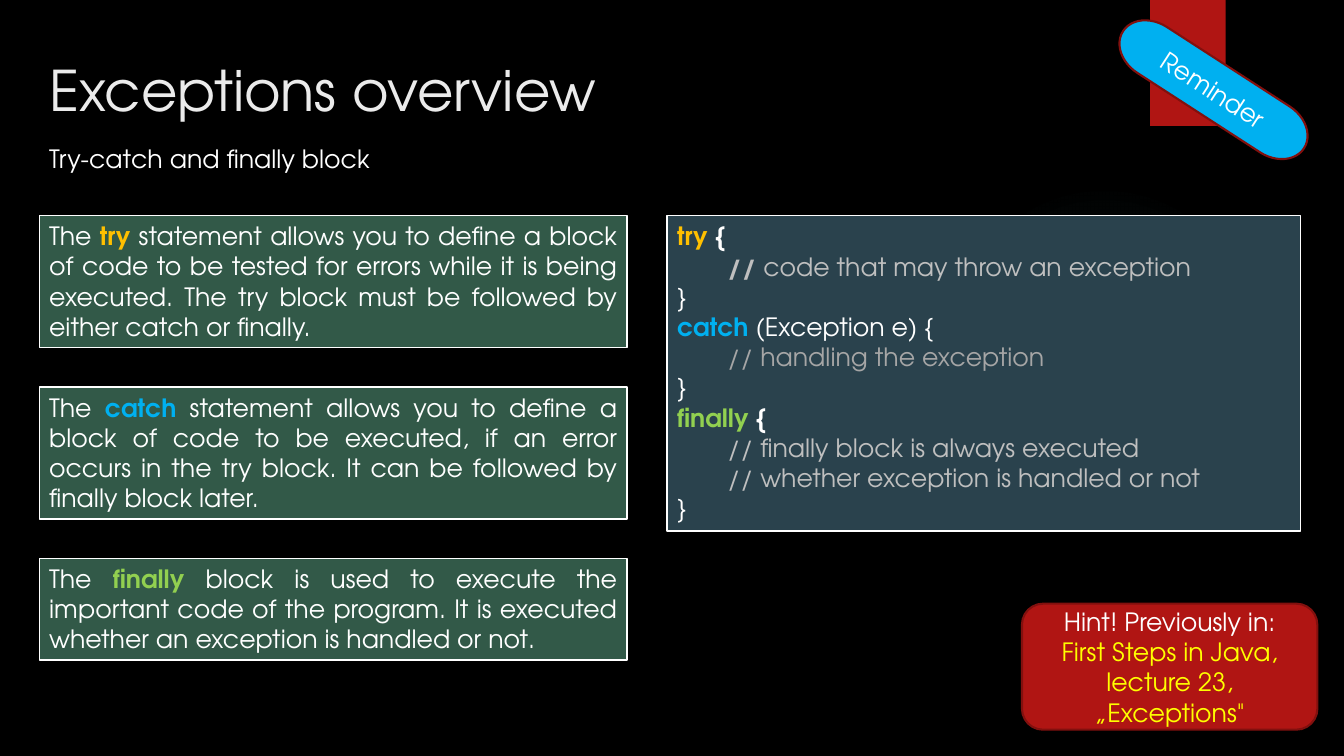
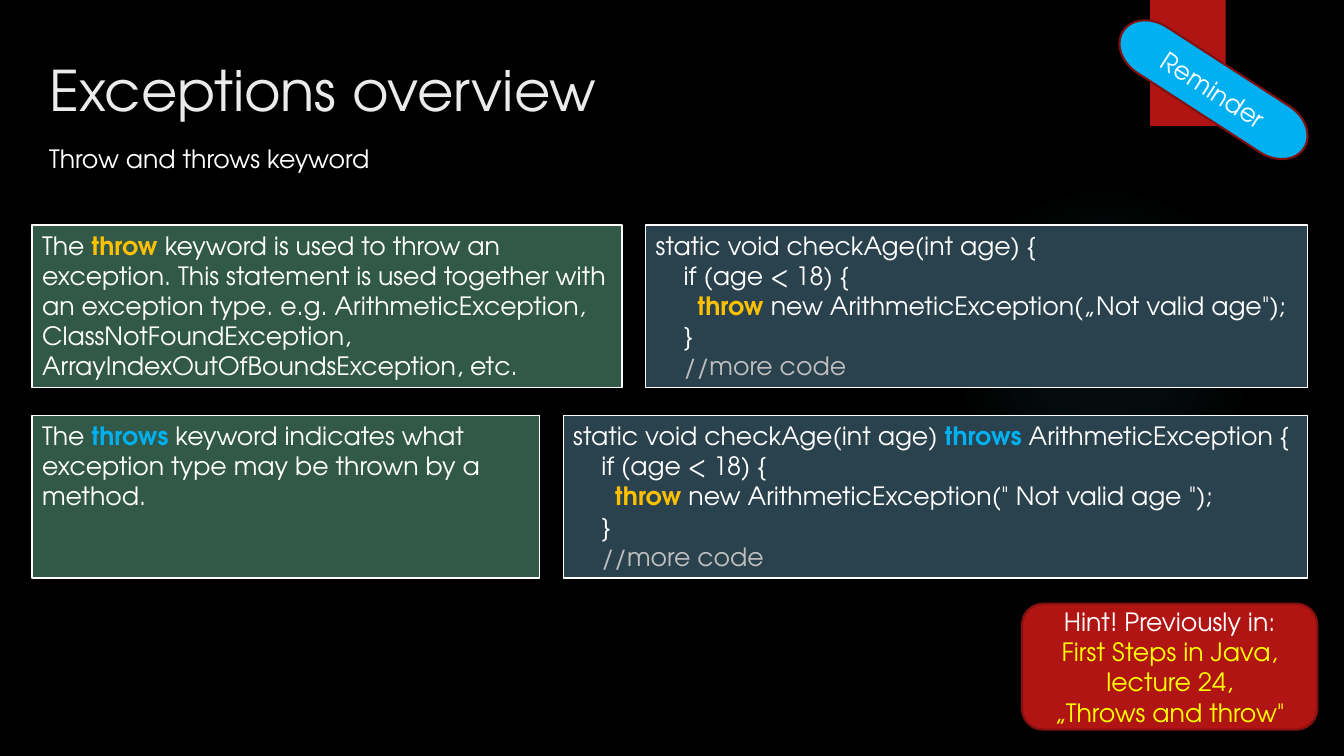
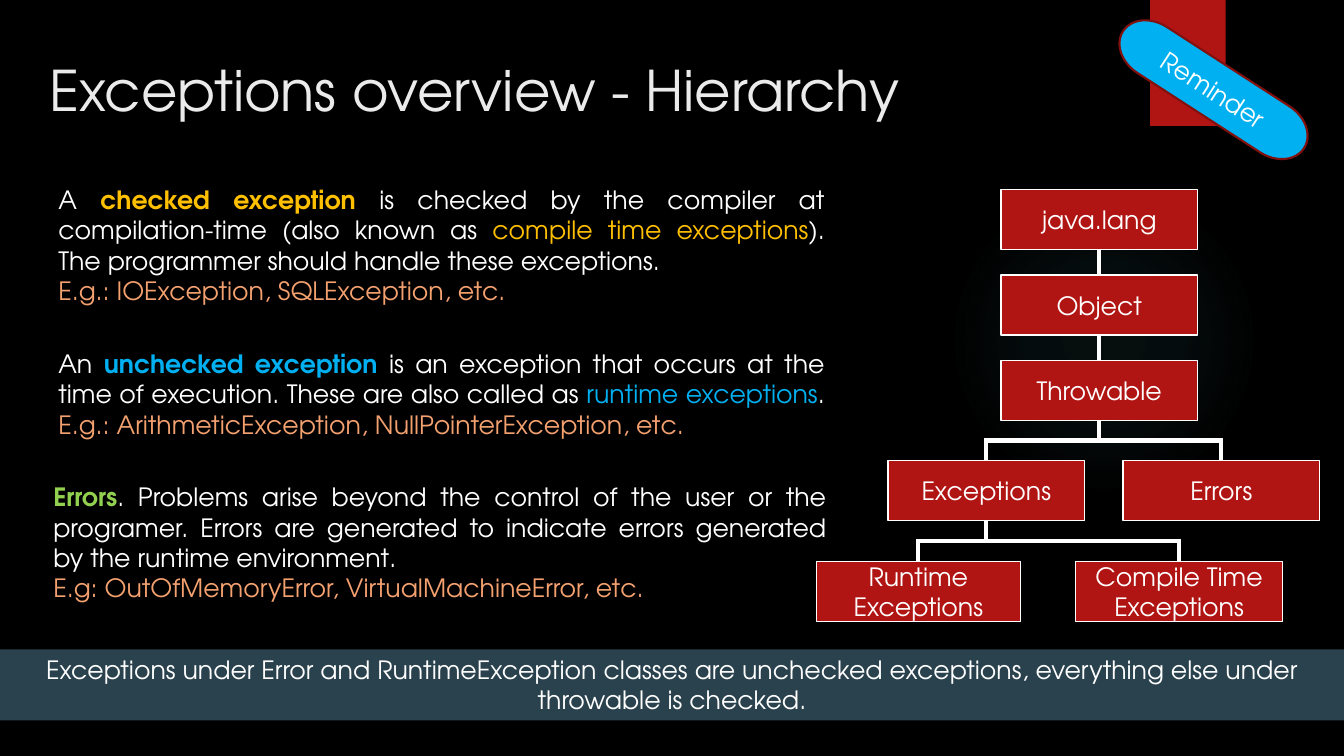
from lxml import etree
from pptx import Presentation
from pptx.dml.color import RGBColor
from pptx.enum.shapes import MSO_CONNECTOR, MSO_SHAPE
from pptx.enum.text import MSO_ANCHOR, PP_ALIGN
from pptx.oxml import parse_xml
from pptx.util import Pt

RECTANGLE = MSO_SHAPE.RECTANGLE
OVAL = MSO_SHAPE.OVAL
PROCESS = MSO_SHAPE.FLOWCHART_PROCESS
TERMINATOR = MSO_SHAPE.FLOWCHART_TERMINATOR
ROUNDED = MSO_SHAPE.FLOWCHART_ALTERNATE_PROCESS
STRAIGHT = MSO_CONNECTOR.STRAIGHT
LEFT, CENTER, JUSTIFY = PP_ALIGN.LEFT, PP_ALIGN.CENTER, PP_ALIGN.JUSTIFY
TOP, MIDDLE = MSO_ANCHOR.TOP, MSO_ANCHOR.MIDDLE

DRAWING = "http://schemas.openxmlformats.org/drawingml/2006/main"
FONT = "TeX Gyre Adventor"
WIDTH, HEIGHT = 960, 540
BLACK, WHITE, TITLE = "000000", "FFFFFF", "EBEBEB"
RED, DARK_RED, GLOW = "B01513", "82100E", "50B9C1"
GREEN, SLATE = "325948", "2A424D"
AMBER, BLUE, LIME = "FFC000", "00B0F0", "92D050"
YELLOW, PEACH = "FFFF00", "F4A16F"
SILVER, GRAY = "BFBFBF", "A6A6A6"
BODY_LEFT = 28


def color(value):
    return RGBColor.from_string(value)


def line(*runs, indent=0):
    return runs, indent


def tint(text, value):
    return text, value, False


def key(text, value):
    return text, value, True


def text_height(count):
    return 21.8 * count + 7.2


def write(shape, lines, align=LEFT, anchor=TOP, size=18, base=WHITE):
    frame = shape.text_frame
    frame.word_wrap = True
    frame.vertical_anchor = anchor
    for index, (runs, indent) in enumerate(lines):
        paragraph = frame.add_paragraph() if index else frame.paragraphs[0]
        paragraph.alignment = align
        paragraph.font.name = FONT
        paragraph.font.size = Pt(size)
        paragraph.font.color.rgb = color(base)
        if indent:
            paragraph._p.get_or_add_pPr().set("marL", str(Pt(indent)))
        for item in runs:
            text, value, bold = tint(item, base) if isinstance(item, str) else item
            run = paragraph.add_run()
            run.text = text
            if value != base:
                run.font.color.rgb = color(value)
            if bold:
                run.font.bold = True


def add_text(slide, box, lines, **style):
    shape = slide.shapes.add_textbox(*map(Pt, box))
    write(shape, lines, **style)


def add_shape(slide, kind, box, fill, outline=None, weight=1):
    shape = slide.shapes.add_shape(kind, *map(Pt, box))
    shape.shadow.inherit = False
    shape.fill.solid()
    shape.fill.fore_color.rgb = color(fill)
    if outline:
        shape.line.color.rgb = color(outline)
        shape.line.width = Pt(weight)
    else:
        shape.line.fill.background()
    return shape


def add_panel(slide, box, fill, lines, align=LEFT):
    write(add_shape(slide, RECTANGLE, box, fill, WHITE), lines, align)


def add_glow(slide, box):
    glow = add_shape(slide, OVAL, box, GLOW)
    stops = "".join(
        f'<a:gs pos="{position * 1000}"><a:srgbClr val="{GLOW}">'
        f'<a:alpha val="{alpha * 1000}"/></a:srgbClr></a:gs>'
        for position, alpha in ((0, 7), (36, 6), (69, 0), (100, 0))
    )
    gradient = parse_xml(
        f'<a:gradFill xmlns:a="{DRAWING}"><a:gsLst>{stops}</a:gsLst><a:path path="circle">'
        '<a:fillToRect l="50000" t="50000" r="50000" b="50000"/></a:path></a:gradFill>'
    )
    properties = glow._element.spPr
    properties.replace(properties.find(f"{{{DRAWING}}}solidFill"), gradient)


def add_base_slide(presentation, title, subtitle=None):
    slide = presentation.slides.add_slide(presentation.slide_layouts[6])
    slide.background.fill.solid()
    slide.background.fill.fore_color.rgb = color(BLACK)
    add_glow(slide, (677.5, 131.8, 221.8, 221.8))
    add_shape(slide, RECTANGLE, (821.5, 0, 54, 90), RED)
    add_text(slide, (BODY_LEFT, 36, 795.6, 63.4), [line(title)], size=40, base=TITLE)
    if subtitle:
        add_text(slide, (BODY_LEFT, 98.6, 884, 29), [line(subtitle)])
    reminder = add_shape(slide, TERMINATOR, (789.8, 44.6, 154, 39), BLUE, DARK_RED, 1.5)
    reminder.rotation = 32.9
    write(reminder, [line("Reminder")], CENTER, MIDDLE)
    return slide


def add_hint(slide, lecture, topic):
    hint = add_shape(slide, ROUNDED, (730, 431.2, 211, 90), RED, DARK_RED, 1.5)
    lines = [
        line("Hint! Previously in:"),
        line(tint(f"First Steps in Java, lecture {lecture},", YELLOW)),
        line(tint(f"„{topic}\"", YELLOW)),
    ]
    write(hint, lines, CENTER, MIDDLE)


def add_row(slide, box, split, explanation, code):
    left, top, width, height = box
    gap = 17
    add_panel(slide, (left, top, split, height), GREEN, explanation)
    code_box = (left + split + gap, top, width - split - gap, height)
    add_panel(slide, code_box, SLATE, code)


def add_line(slide, start, end, parent=None, child=None):
    connector = slide.shapes.add_connector(STRAIGHT, *map(Pt, start + end))
    connector.line.color.rgb = color(WHITE)
    connector.line.width = Pt(3)
    etree.SubElement(connector._element.spPr, f"{{{DRAWING}}}effectLst")
    if parent:
        connector.begin_connect(parent, 2)
    if child:
        connector.end_connect(child, 0)


def add_node(slide, middle, top, width, *words):
    node = add_shape(slide, PROCESS, (middle - width / 2, top, width, 43), RED, WHITE)
    write(node, [line(word) for word in words], CENTER, MIDDLE)
    return node


def top_point(node):
    return (node.left + node.width / 2) / Pt(1), node.top / Pt(1)


def bottom_point(node):
    middle, top = top_point(node)
    return middle, top + node.height / Pt(1)


def add_branch(slide, parent, children):
    stem = bottom_point(parent)
    ends = [top_point(child) for child in children]
    level = (stem[1] + ends[0][1]) / 2
    add_line(slide, stem, (stem[0], level), parent=parent)
    add_line(slide, (ends[0][0] - 1.5, level), (ends[-1][0] + 1.5, level))
    for child, end in zip(children, ends):
        add_line(slide, (end[0], level), end, child=child)


def add_hierarchy(slide, left, top):
    trunk = [
        add_node(slide, left + 202, top + 61 * index, 140.4, name)
        for index, name in enumerate(("java.lang", "Object", "Throwable"))
    ]
    exceptions = add_node(slide, left + 121.3, top + 193.6, 140.4, "Exceptions")
    errors = add_node(slide, left + 289.2, top + 193.6, 140.4, "Errors")
    runtime = add_node(slide, left + 72.8, top + 265.6, 145.6, "Runtime", "Exceptions")
    compiled = add_node(slide, left + 259, top + 265.6, 147.6, "Compile Time", "Exceptions")
    for parent, child in zip(trunk, trunk[1:]):
        add_line(slide, bottom_point(parent), top_point(child), parent, child)
    add_branch(slide, trunk[-1], (exceptions, errors))
    add_branch(slide, exceptions, (runtime, compiled))


def add_block_slide(presentation):
    slide = add_base_slide(presentation, "Exceptions overview", "Try-catch and finally block")
    add_hint(slide, 23, "Exceptions")
    statements = (
        (4, key("try", AMBER), " statement allows you to define a block of code to be tested for errors "
         "while it is being executed. The try block must be followed by either catch or finally."),
        (4, key("catch", BLUE), " statement allows you to define a block of code to be executed, "
         "if an error occurs in the try block. It can be followed by finally block later."),
        (3, key("finally", LIME), " block is used to execute the important code of the program. "
         "It is executed whether an exception is handled or not."),
    )
    top = 154
    for count, keyword, meaning in statements:
        height = text_height(count)
        add_panel(slide, (BODY_LEFT, top, 420, height), GREEN, [line("The ", keyword, meaning)], JUSTIFY)
        top += height + 28
    code = [
        line(key("try", AMBER), key(" {", WHITE)),
        line(key("// ", SILVER), tint("code that may throw an exception", SILVER), indent=36),
        line("}"),
        line(key("catch ", BLUE), "(Exception e) {"),
        line(tint("// handling the exception", GRAY), indent=36),
        line("}"),
        line(key("finally", LIME), key(" {", WHITE)),
        line(tint("// finally block is always executed", SILVER), indent=36),
        line(tint("// whether exception is handled or not", SILVER), indent=36),
        line("}"),
    ]
    add_panel(slide, (476.6, 154, 452.4, text_height(len(code))), SLATE, code)


def check_age_code(signature, message):
    return [
        signature,
        line("if (age < 18) {", indent=20),
        line(key("throw", AMBER), f" new ArithmeticException({message});", indent=30),
        line("}", indent=20),
        line(tint("//more code", SILVER), indent=20),
    ]


def add_throw_slide(presentation):
    slide = add_base_slide(presentation, "Exceptions overview", "Throw and throws keyword")
    rows = (
        (421.2,
         line("The ", key("throw", AMBER), " keyword is used to throw an exception. This statement is "
              "used together with an exception type. e.g. ArithmeticException, "
              "ClassNotFoundException, ArrayIndexOutOfBoundsException, etc."),
         check_age_code(line("static void checkAge(int age) {"), "„Not valid age\"")),
        (362.4,
         line("The ", key("throws", BLUE), " keyword indicates what exception type may be thrown "
              "by a method."),
         check_age_code(line("static void checkAge(int age) ", key("throws ", BLUE),
                             "ArithmeticException {"), "\" Not valid age \"")),
    )
    for index, (split, explanation, code) in enumerate(rows):
        box = (23, 160.6 + 136 * index, 911, text_height(len(code)))
        add_row(slide, box, split, [explanation], code)
    add_hint(slide, 24, "Throws and throw")


def add_hierarchy_slide(presentation):
    slide = add_base_slide(presentation, "Exceptions overview - Hierarchy")
    add_hierarchy(slide, 583.2, 135.4)
    definitions = (
        (34.6, 561.6, 4, [
            line("A ", key("checked exception ", AMBER),
                 "is checked by the compiler at compilation-time (also known as ",
                 tint("compile time exceptions", AMBER),
                 "). The programmer should handle these exceptions."),
            line(tint("E.g.: IOException, SQLException, etc.", PEACH)),
        ]),
        (34.6, 561.6, 3, [
            line("An ", key("unchecked exception ", BLUE),
                 "is an exception that occurs at the time of execution. These are also called as ",
                 tint("runtime exceptions", BLUE), ". ",
                 tint("E.g.: ArithmeticException, NullPointerException, etc.", PEACH)),
        ]),
        (31, 566.6, 4, [
            line(key("Errors", LIME),
                 ". Problems arise beyond the control of the user or the programer. Errors are "
                 "generated to indicate errors generated by the runtime environment."),
            line(tint("E.g: OutOfMemoryError, VirtualMachineError, etc.", PEACH)),
        ]),
    )
    top = 128.2
    for left, width, count, lines in definitions:
        height = text_height(count)
        add_text(slide, (left, top, width, height), lines, align=JUSTIFY)
        top += height + 22.7
    band = add_shape(slide, RECTANGLE, (0, 463.8, WIDTH, text_height(2)), SLATE)
    write(band, [line("Exceptions under Error and RuntimeException classes are unchecked exceptions, "
                      "everything else under throwable is checked.")], CENTER)


def main():
    presentation = Presentation()
    presentation.slide_width = Pt(WIDTH)
    presentation.slide_height = Pt(HEIGHT)
    add_block_slide(presentation)
    add_throw_slide(presentation)
    add_hierarchy_slide(presentation)
    presentation.save("out.pptx")


if __name__ == "__main__":
    main()
